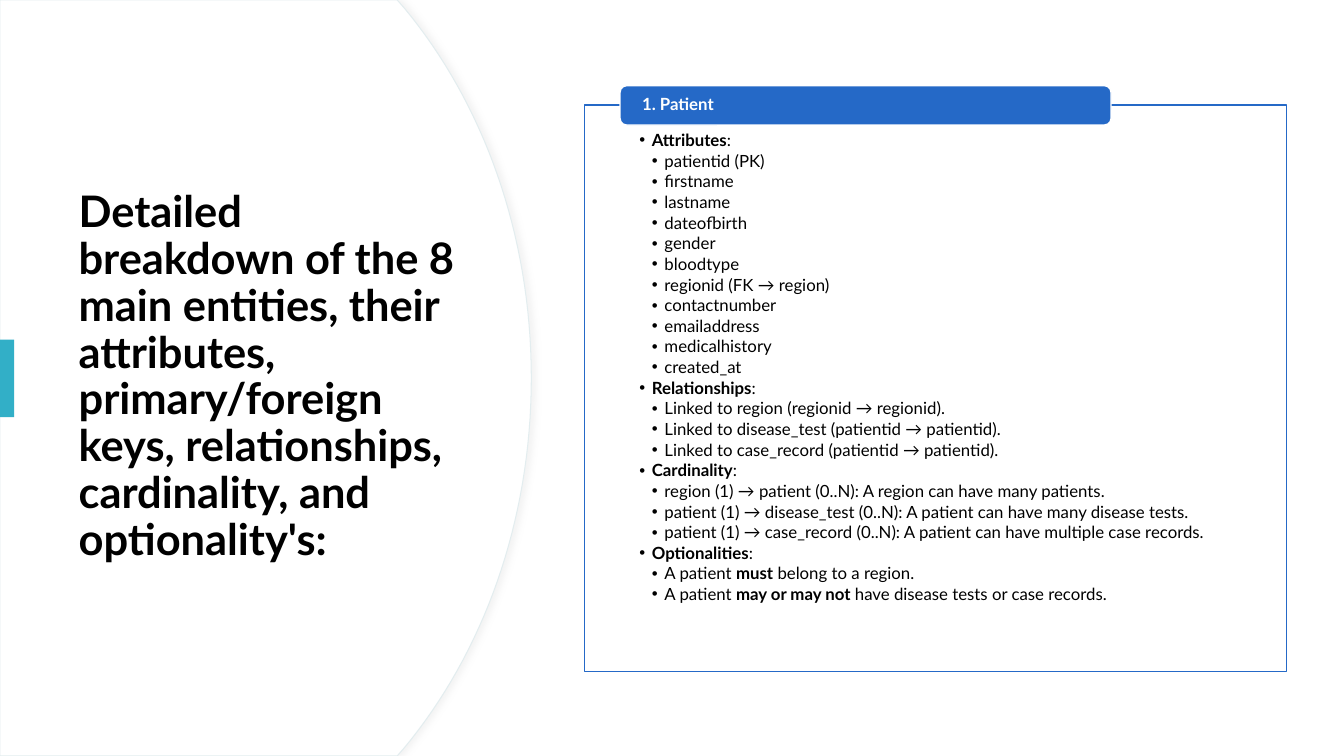
from dataclasses import dataclass

import pptx
import pptx.dml.color
import pptx.enum.shapes
import pptx.enum.text
import pptx.oxml
import pptx.oxml.ns
import pptx.util
from pptx.util import Inches

MSO_SHAPE = pptx.enum.shapes.MSO_SHAPE
PP_ALIGN = pptx.enum.text.PP_ALIGN
ANCHOR = pptx.enum.text.MSO_ANCHOR


@dataclass(frozen=True)
class Theme:
    font: str = "Lato"
    ink: str = "000000"
    paper: str = "FFFFFF"
    blue: str = "2569C7"
    teal: str = "32AFC7"
    pale: str = "E3EDEF"
    shade: str = "D9D9D9"
    title_size: float = 31
    text_size: float = 12


THEME = Theme()

TITLE = ("Detailed breakdown of the 8 main entities, their attributes, "
         "primary/foreign keys, relationships, cardinality, and optionality's:")

# Text between double asterisks is bold
PATIENT = {
    "Attributes": [
        "patientid (PK)", "firstname", "lastname", "dateofbirth", "gender",
        "bloodtype", "regionid (FK → region)", "contactnumber",
        "emailaddress", "medicalhistory", "created_at",
    ],
    "Relationships": [
        "Linked to region (regionid → regionid).",
        "Linked to disease_test (patientid → patientid).",
        "Linked to case_record (patientid → patientid).",
    ],
    "Cardinality": [
        "region (1) → patient (0..N): A region can have many patients.",
        "patient (1) → disease_test (0..N): A patient can have many disease tests.",
        "patient (1) → case_record (0..N): A patient can have multiple case records.",
    ],
    "Optionalities": [
        "A patient **must** belong to a region.",
        "A patient **may or may not** have disease tests or case records.",
    ],
}


def rgb(color):
    return pptx.dml.color.RGBColor.from_string(color)


def place(shape, left, top, width, height):
    shape.left, shape.top = Inches(left), Inches(top)
    shape.width, shape.height = Inches(width), Inches(height)


def paint(shape, fill, line=None, weight=1):
    shape.fill.solid()
    shape.fill.fore_color.rgb = rgb(fill)
    if line:
        shape.line.color.rgb = rgb(line)
        shape.line.width = pptx.util.Pt(weight)
    else:
        shape.line.fill.background()


def set_frame(shape, anchor, insets=(0.1, 0.05, 0.1, 0.05)):
    frame = shape.text_frame
    frame.word_wrap = True
    frame.auto_size = pptx.enum.text.MSO_AUTO_SIZE.NONE
    frame.vertical_anchor = anchor
    (frame.margin_left, frame.margin_top,
     frame.margin_right, frame.margin_bottom) = map(Inches, insets)
    return frame


def add_bullet(paragraph, level):
    properties = paragraph._p.get_or_add_pPr()
    properties.set("marL", str(Inches(0.125 * (level + 1))))
    properties.set("indent", str(Inches(-0.125)))
    ns = pptx.oxml.ns.nsdecls("a")
    for xml in (f'<a:buFont {ns} typeface="Arial"/>', f'<a:buChar {ns} char="•"/>'):
        properties.append(pptx.oxml.parse_xml(xml))
    paragraph.level = level


def write(paragraph, text, size=THEME.text_size, color=THEME.ink, bold=False,
          after=0.0, bullet_level=None):
    if bullet_level is not None:
        add_bullet(paragraph, bullet_level)
    paragraph.alignment = PP_ALIGN.LEFT
    paragraph.line_spacing = 0.9
    paragraph.space_before = pptx.util.Pt(0)
    paragraph.space_after = pptx.util.Pt(after)
    for index, part in enumerate(text.split("**")):
        if part:
            run = paragraph.add_run()
            run.text = part
            run.font.name = THEME.font
            run.font.size = pptx.util.Pt(size)
            run.font.bold = bold or index % 2 == 1
            run.font.color.rgb = rgb(color)


def add_block(slide, kind, box, fill, line=None):
    block = slide.shapes.add_shape(kind, *map(Inches, box))
    block.shadow.inherit = False
    paint(block, fill, line)
    return block


def bezier(start, control1, control2, end, steps=32):
    for step in range(1, steps + 1):
        t = step / steps
        weights = ((1 - t) ** 3, 3 * t * (1 - t) ** 2, 3 * t * t * (1 - t), t ** 3)
        yield tuple(
            Inches(sum(w * c for w, c in zip(weights, axis)))
            for axis in zip(start, control1, control2, end))


def add_curved_panel(slide):
    shoulder, middle, foot = (4.01, 0.08), (5.27, 3.75), (4.01, 7.42)
    outline = [(Inches(x), Inches(y)) for x, y in ((3.94, 0), shoulder)]
    outline += bezier(shoulder, (4.79, 1.02), (5.27, 2.32), middle)
    outline += bezier(middle, (5.27, 5.18), (4.79, 6.48), foot)
    outline += [(Inches(3.94), Inches(7.5)), (0, Inches(7.5))]
    builder = slide.shapes.build_freeform(0, 0)
    builder.add_line_segments(outline, close=True)
    panel = builder.convert_to_shape()
    paint(panel, THEME.paper, THEME.pale, 0.75)
    # Soft shadow to the right
    panel.shadow.inherit = False
    effects = panel.element.spPr.find(pptx.oxml.ns.qn("a:effectLst"))
    effects.append(pptx.oxml.parse_xml(
        f'<a:outerShdw {pptx.oxml.ns.nsdecls("a")} blurRad="{pptx.util.Pt(4)}" '
        f'dist="{pptx.util.Pt(3)}" dir="0"><a:srgbClr val="{THEME.shade}">'
        '<a:alpha val="30000"/></a:srgbClr></a:outerShdw>'))
    # Behind the placeholders
    panel.element.getparent().insert(2, panel.element)


def fill_title(title):
    place(title, 0.68, 1.27, 3.94, 4.95)
    frame = set_frame(title, ANCHOR.MIDDLE)
    write(frame.paragraphs[0], TITLE, size=THEME.title_size, bold=True)


def fill_entity(body, sections):
    place(body, 5.8, 1.04, 6.96, 5.62)
    paint(body, THEME.paper, THEME.blue)
    frame = set_frame(body, ANCHOR.TOP, (0.54, 0.27, 0.54, 0.09))
    lines = []
    for heading, items in sections.items():
        lines.append((f"**{heading}**:", 0))
        lines += [(item, 1) for item in items]
    for index, (text, level) in enumerate(lines):
        paragraph = frame.add_paragraph() if index else frame.paragraphs[0]
        write(paragraph, text, after=0.15 * THEME.text_size, bullet_level=level)


def add_entity_header(slide, text):
    header = add_block(slide, MSO_SHAPE.ROUNDED_RECTANGLE,
                       (6.15, 0.85, 4.87, 0.39), THEME.blue, THEME.paper)
    frame = set_frame(header, ANCHOR.MIDDLE, (0.2, 0, 0.2, 0))
    write(frame.paragraphs[0], text, color=THEME.paper, bold=True)


def main():
    deck = pptx.Presentation()
    deck.slide_width, deck.slide_height = Inches(13.33), Inches(7.5)
    slide = deck.slides.add_slide(deck.slide_layouts[1])

    # Left side: curved panel, title and accent
    add_curved_panel(slide)
    fill_title(slide.shapes.title)
    add_block(slide, MSO_SHAPE.RECTANGLE, (0, 3.37, 0.14, 0.77), THEME.teal)

    # Right side: entity details
    fill_entity(slide.placeholders[1], PATIENT)
    add_entity_header(slide, "1. Patient")

    deck.save("out.pptx")


if __name__ == "__main__":
    main()
